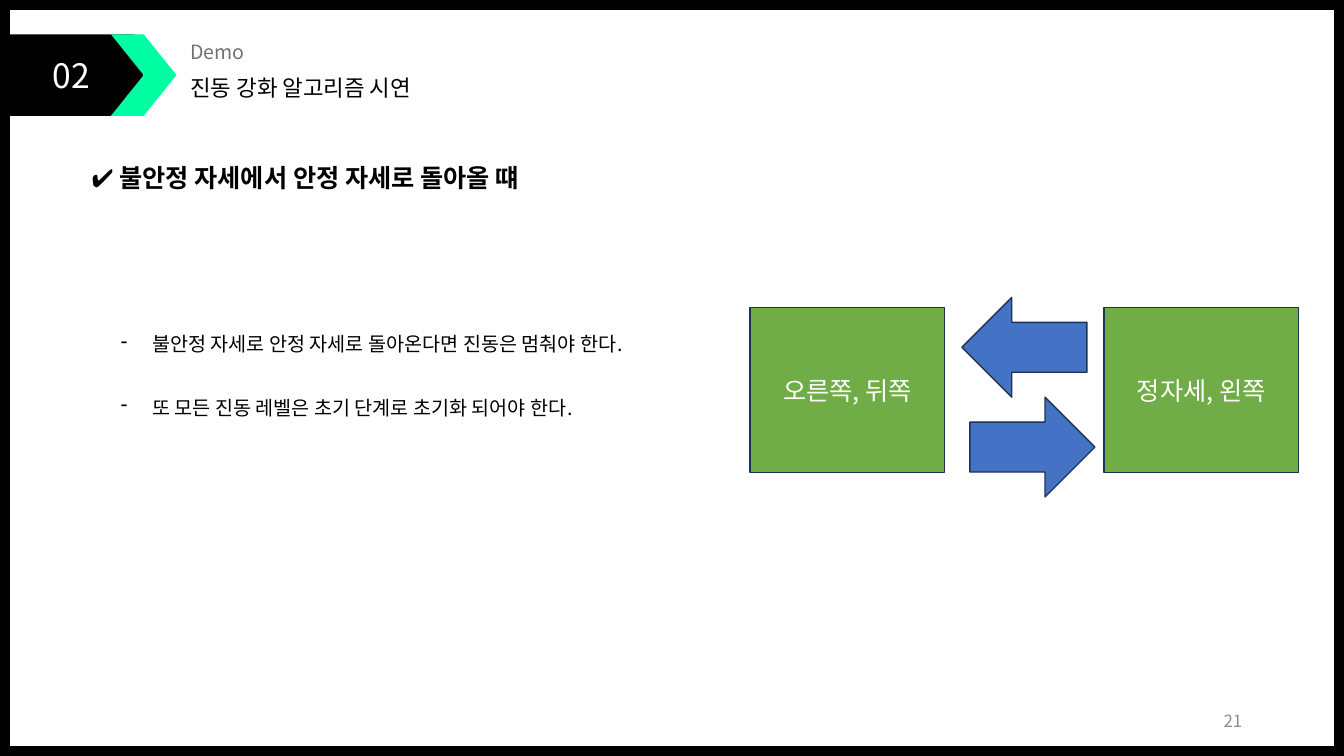
from dataclasses import dataclass

from lxml.etree import SubElement
from pptx import Presentation
from pptx.dml.color import RGBColor
from pptx.enum.shapes import MSO_SHAPE as SHAPE
from pptx.enum.text import MSO_ANCHOR as ANCHOR, PP_ALIGN as ALIGN
from pptx.oxml.ns import qn
from pptx.shapes.autoshape import Shape
from pptx.util import Inches, Pt

BLACK = RGBColor(0x00, 0x00, 0x00)
WHITE = RGBColor(0xFF, 0xFF, 0xFF)
GRAY = RGBColor(0x76, 0x71, 0x71)
PAGE_GRAY = RGBColor(0x8C, 0x8C, 0x8C)
MINT = RGBColor(0x00, 0xFF, 0xA3)
GREEN = RGBColor(0x70, 0xAD, 0x47)
BLUE = RGBColor(0x44, 0x72, 0xC4)
NAVY = RGBColor(0x1E, 0x32, 0x56)

KOREAN_FONT = "Noto Sans CJK KR"
TITLE_FONT = "Calibri"

Box = tuple[float, float, float, float]


@dataclass
class Block:
    box: Box
    kind: SHAPE
    fill: RGBColor
    line: RGBColor | None = None
    adj: float | None = None
    rotation: float = 0
    text: str = ""
    size: float = 18


@dataclass
class Label:
    box: Box
    text: str
    size: float
    color: RGBColor = BLACK
    font: str = KOREAN_FONT
    bold: bool = False
    align: ALIGN = ALIGN.LEFT
    anchor: ANCHOR = ANCHOR.TOP
    wrap: bool = True


def write(sp: Shape, *lines: str, size: float, color: RGBColor = BLACK,
          font: str = KOREAN_FONT, bold: bool = False,
          align: ALIGN = ALIGN.LEFT, anchor: ANCHOR = ANCHOR.TOP,
          wrap: bool = True, bullet: str = "", spacing: float | None = None,
          gap: float = 0) -> None:
    tf = sp.text_frame
    tf.word_wrap = wrap
    tf.vertical_anchor = anchor
    for i, text in enumerate(lines):
        p = tf.add_paragraph() if i else tf.paragraphs[0]
        p.alignment = align
        if spacing:
            p.line_spacing = spacing
        if i:
            p.space_before = Pt(gap)
        if bullet:
            pPr = p._p.get_or_add_pPr()
            pPr.set("marL", str(Inches(0.31)))
            pPr.set("indent", str(-Inches(0.31)))
            SubElement(pPr, qn("a:buChar")).set("char", bullet)
        r = p.add_run()
        r.text = text
        r.font.size = Pt(size)
        r.font.bold = bold
        r.font.name = font
        r.font.color.rgb = color
        # East Asian typeface for the Hangul characters
        SubElement(r._r.get_or_add_rPr(), qn("a:ea")).set("typeface", KOREAN_FONT)


def add_block(slide, block: Block) -> None:
    sp = slide.shapes.add_shape(block.kind, *map(Inches, block.box))
    sp.shadow.inherit = False
    sp.fill.solid()
    sp.fill.fore_color.rgb = block.fill
    sp.rotation = block.rotation
    if block.adj is not None:
        sp.adjustments[0] = block.adj
    if block.line is None:
        sp.line.fill.background()
    else:
        sp.line.color.rgb = block.line
        sp.line.width = Pt(1)
    if block.text:
        write(sp, block.text, size=block.size, color=WHITE,
              align=ALIGN.CENTER, anchor=ANCHOR.MIDDLE)


def add_label(slide, label: Label) -> None:
    sp = slide.shapes.add_textbox(*map(Inches, label.box))
    write(sp, label.text, size=label.size, color=label.color, font=label.font,
          bold=label.bold, align=label.align, anchor=label.anchor, wrap=label.wrap)


BLOCKS = [
    # Slide border and section tag
    Block((0, 0, 13.33, 7.5), SHAPE.FRAME, BLACK, adj=0.013),
    Block((0, 0.34, 1.42, 0.81), SHAPE.ROUNDED_RECTANGLE, BLACK, adj=0.143,
          text="02", size=24),
    Block((1.1, 0.34, 0.65, 0.81), SHAPE.CHEVRON, MINT),
    # Posture diagram
    Block((7.44, 3.05, 1.93, 1.64), SHAPE.RECTANGLE, GREEN, NAVY, text="오른쪽, 뒤쪽"),
    Block((10.95, 3.05, 1.93, 1.64), SHAPE.RECTANGLE, GREEN, NAVY, text="정자세, 왼쪽"),
    Block((9.62, 3.94, 1.24, 0.99), SHAPE.RIGHT_ARROW, BLUE, NAVY),
    Block((9.54, 2.95, 1.24, 0.99), SHAPE.RIGHT_ARROW, BLUE, NAVY, rotation=180),
]

LABELS = [
    Label((1.79, 0.35, 1.11, 0.34), "Demo", 14, GRAY),
    Label((1.79, 0.69, 3.4, 0.37), "진동 강화 알고리즘 시연", 16),
    Label((0.81, 1.56, 4.79, 0.4), "✔ 불안정 자세에서 안정 자세로 돌아올 떄", 18,
          font=TITLE_FONT, bold=True, wrap=False),
    Label((9.42, 6.95, 3, 0.4), "21", 12, PAGE_GRAY,
          align=ALIGN.RIGHT, anchor=ANCHOR.MIDDLE),
]

RULES = [
    "불안정 자세로 안정 자세로 돌아온다면 진동은 멈춰야 한다.",
    "또 모든 진동 레벨은 초기 단계로 초기화 되어야 한다.",
]


def main() -> None:
    prs = Presentation()
    prs.slide_width = Inches(13.33)
    prs.slide_height = Inches(7.5)
    slide = prs.slides.add_slide(prs.slide_layouts[6])

    for block in BLOCKS:
        add_block(slide, block)
    for label in LABELS:
        add_label(slide, label)

    # Vibration rules
    rules = slide.shapes.add_textbox(*map(Inches, (1.1, 3.13, 5.89, 1.47)))
    write(rules, *RULES, size=14, bullet="-", spacing=1.5, gap=20)

    prs.save("out.pptx")


if __name__ == "__main__":
    main()
